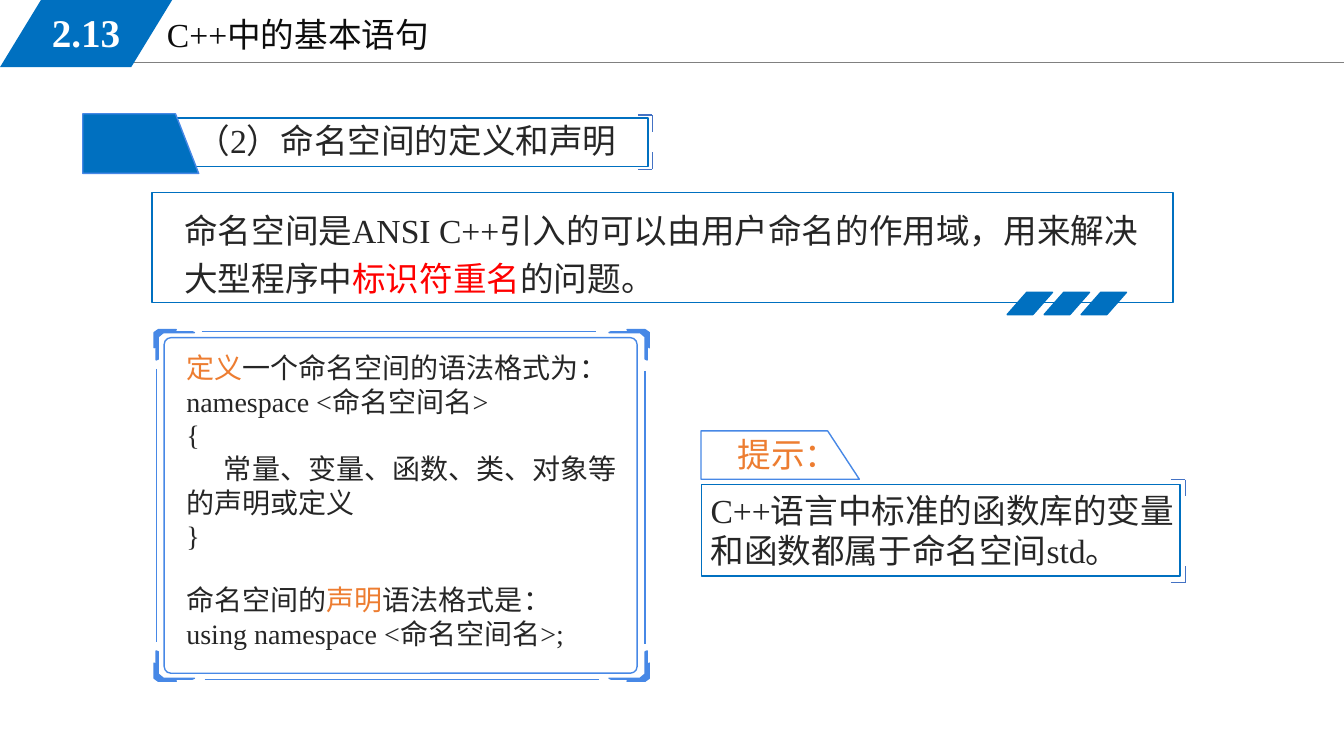
from lxml import etree
from pptx import Presentation
from pptx import util as u
from pptx.dml.color import RGBColor
from pptx.enum import shapes, text
from pptx.oxml.ns import qn

BLUE = RGBColor(0x00, 0x70, 0xC0)
SKY = RGBColor(0x47, 0x88, 0xE6)
STEEL = RGBColor(0x44, 0x72, 0xC4)
GRAY = RGBColor(0x80, 0x80, 0x80)
INK = RGBColor(0x26, 0x26, 0x26)
DARK = RGBColor(0x0D, 0x0D, 0x0D)
WHITE = RGBColor(0xFF, 0xFF, 0xFF)
RED = RGBColor(0xFF, 0x00, 0x00)
ORANGE = RGBColor(0xED, 0x7D, 0x31)
FONT = "Times New Roman"
KIND = shapes.MSO_SHAPE

deck = Presentation()
deck.slide_width, deck.slide_height = u.Inches(13.33), u.Inches(7.5)
page = deck.slides.add_slide(deck.slide_layouts[6]).shapes

# Grid of 32 columns by 18 rows
COL = deck.slide_width / 32
ROW = deck.slide_height / 18


def draw(kind, x, y, w, h, fill=None, line=None, turn=0, adj=None):
    item = page.add_shape(kind, int(x * COL), int(y * ROW), int(w * COL), int(h * ROW))
    item.shadow.inherit = False
    item.rotation = turn
    if adj is not None:
        item.adjustments[0] = adj
    if fill is None:
        item.fill.background()
    else:
        item.fill.solid()
        item.fill.fore_color.rgb = fill
    if line is None:
        item.line.fill.background()
    else:
        item.line.color.rgb = line
        item.line.width = u.Pt(1)


def write(x, y, w, h, rows, size=24, color=INK, mark=ORANGE):
    """Write one paragraph per row; parts between bars take the mark colour."""
    frame = page.add_textbox(int(x * COL), int(y * ROW), int(w * COL), int(h * ROW)).text_frame
    frame.word_wrap = True
    for i, row in enumerate(rows):
        para = frame.add_paragraph() if i else frame.paragraphs[0]
        para.font.name, para.font.size = FONT, u.Pt(size)
        para.font.color.rgb = color
        for j, part in enumerate(row.split("|")):
            if part:
                run = para.add_run()
                run.text = part
                if j % 2:
                    run.font.color.rgb = mark
    return frame


# Straight lines: title rule, then the broken sides of the syntax frame
lines = [
    (2.71, 1.49, 32, 1.49, GRAY, 0.75),
    (4.8, 7.9, 14.18, 7.9, SKY, 1),
    (4.87, 16.18, 14.26, 16.18, SKY, 1),
    (3.72, 8.78, 3.72, 15.29, SKY, 1),
    (15.36, 8.83, 15.36, 15.34, SKY, 1),
]
# Corner brackets right of the heading and the tip
for x, top, low in [(15.53, 2.74, 4.03), (28.22, 11.42, 13.87)]:
    for y, arm in [(top, 0.4), (low, -0.4)]:
        lines += [(x - 0.34, y, x, y, STEEL, 1), (x, y, x, y + arm, STEEL, 1)]
for x1, y1, x2, y2, color, width in lines:
    rule = page.add_connector(shapes.MSO_CONNECTOR.STRAIGHT, int(x1 * COL), int(y1 * ROW),
                              int(x2 * COL), int(y2 * ROW))
    rule.line.color.rgb = color
    rule.line.width = u.Pt(width)
    etree.SubElement(rule._element.spPr, qn("a:effectLst"))

# Title bar
write(3.74, 0.22, 13.6, 1.22, ["C++中的基本语句"], color=DARK)
draw(KIND.PARALLELOGRAM, 0, 0, 4.1, 1.6, fill=BLUE, adj=0.61)
badge = write(0.6, 0.05, 2.9, 1.4, ["2.13"], 28, WHITE)
badge.vertical_anchor = text.MSO_ANCHOR.MIDDLE
badge.paragraphs[0].alignment = text.PP_ALIGN.CENTER
badge.paragraphs[0].font.bold = True

# Section heading
draw(KIND.RECTANGLE, 1.97, 2.81, 13.46, 1.15, line=BLUE)
draw(KIND.FLOWCHART_MANUAL_INPUT, 2.64, 2.04, 1.42, 2.76, BLUE, SKY, turn=90)
write(4.44, 2.74, 11.28, 1.2, ["（2）命名空间的定义和声明"])

# Introduction with three stripes
intro = write(4.15, 4.68, 23.76, 1.15, [
    "命名空间是ANSI C++引入的可以由用户命名的作用域，用来解决大型程序中|标识符重名|的问题。"], mark=RED)
intro.paragraphs[0].line_spacing = 1.2
draw(KIND.RECTANGLE, 3.62, 4.58, 24.31, 2.62, line=BLUE)
for i in range(3):
    draw(KIND.PARALLELOGRAM, 23.98 + 0.88 * i, 6.96, 1.08, 0.53, BLUE, BLUE, adj=0.88)

# Syntax frame: one corner outline mirrored to all four corners
draw(KIND.ROUNDED_RECTANGLE, 3.91, 8.04, 11.26, 7.99, line=SKY, adj=0.02)
edge = [(0.1, 0), (0.53, 0), (0.48, 0.05), (0.91, 0.05), (0.96, 0.07), (0.22, 0.07),
        (0.1, 0.17), (0.1, 0.7), (0.05, 0.72), (0.05, 0.38), (0, 0.43), (0, 0.07)]
for x, dx in [(3.67, 1), (15.46, -1)]:
    for y, dy in [(7.85, 1), (16.22, -1)]:
        dots = [(int((x + dx * a) * COL), int((y + dy * b) * ROW)) for a, b in edge]
        pen = page.build_freeform(*dots[0])
        pen.add_line_segments(dots[1:])
        corner = pen.convert_to_shape()
        corner.shadow.inherit = False
        corner.fill.solid()
        corner.fill.fore_color.rgb = SKY
        corner.line.color.rgb = SKY
        corner.line.width = u.Pt(1)

# Syntax of definition and declaration
write(4.2, 8.23, 11.16, 5.09, [
    "|定义|一个命名空间的语法格式为：",
    "namespace <命名空间名>",
    "{",
    "      常量、变量、函数、类、对象等的声明或定义",
    "}",
], 20)
write(4.2, 13.75, 9.84, 1.85, [
    "命名空间的|声明|语法格式是：",
    "using namespace <命名空间名>;",
], 20)

# Tip
write(16.68, 11.54, 11.83, 2.18, ["C++语言中标准的函数库的变量和函数都属于命名空间std。"])
draw(KIND.RECTANGLE, 16.7, 11.54, 11.4, 2.18, line=BLUE)
draw(KIND.FLOWCHART_MANUAL_INPUT, 18, 8.95, 1.15, 3.77, line=SKY, turn=90)
write(17.33, 10.22, 3, 1.2, ["提示："], color=ORANGE)

deck.save("out.pptx")
